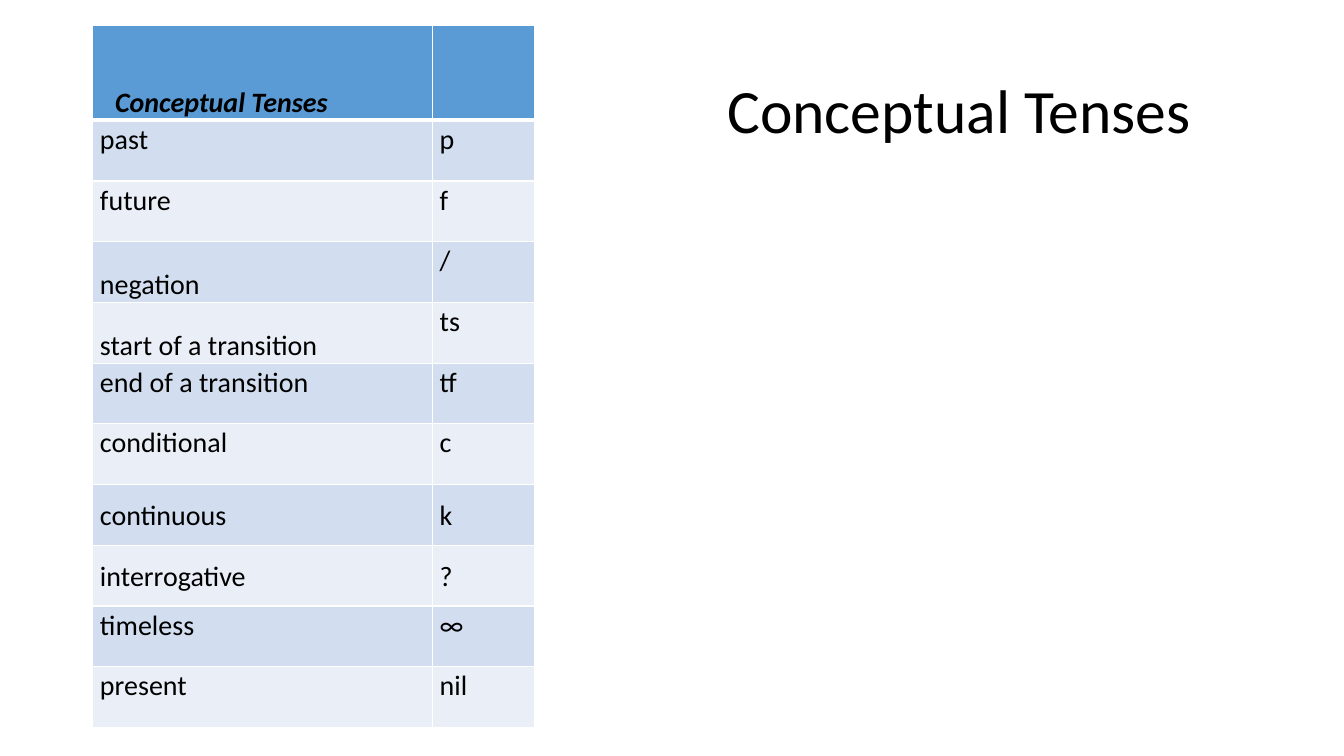
from lxml import etree
from pptx import Presentation
from pptx.dml.color import RGBColor
from pptx.enum.text import MSO_ANCHOR, PP_ALIGN
from pptx.oxml.ns import qn
from pptx.util import Cm, Pt

TOP, MIDDLE, BOTTOM = MSO_ANCHOR.TOP, MSO_ANCHOR.MIDDLE, MSO_ANCHOR.BOTTOM
LEFT, JUSTIFY = PP_ALIGN.LEFT, PP_ALIGN.JUSTIFY

COLORS = {
    "text": "000000",
    "header": "5B9BD5",
    "odd": "D2DEEF",
    "even": "EAEFF7",
    "border": "FFFFFF",
}

TENSES = [
    ("past", "p", TOP, TOP),
    ("future", "f", TOP, TOP),
    ("negation ", "/", BOTTOM, TOP),
    ("start of a transition", "ts", BOTTOM, TOP),
    ("end of a transition ", "tf", TOP, TOP),
    ("conditional", "c", TOP, TOP),
    ("continuous", "k", MIDDLE, MIDDLE),
    ("interrogative", "?", MIDDLE, MIDDLE),
    ("timeless", "∞", TOP, TOP),
    ("present", "nil", TOP, TOP),
]


class SlideBuilder:
    font = "Calibri"
    title_size = 44
    table_size = 20

    def __init__(self, slide):
        self.slide = slide

    def add_run(self, paragraph, text, size, emphasis=False):
        run = paragraph.add_run()
        run.text = text
        run.font.name = self.font
        run.font.size = Pt(size)
        run.font.bold = run.font.italic = emphasis
        run.font.color.rgb = RGBColor.from_string(COLORS["text"])

    def add_title(self, text, left, top, width, height):
        frame = self.slide.shapes.add_textbox(left, top, width, height).text_frame
        frame.word_wrap = True
        frame.vertical_anchor = MIDDLE
        paragraph = frame.paragraphs[0]
        paragraph.alignment = LEFT
        paragraph.line_spacing = 0.9
        self.add_run(paragraph, text, self.title_size)

    def add_table(self, left, top, column_widths, row_heights):
        table = self.slide.shapes.add_table(
            len(row_heights), len(column_widths), left, top,
            sum(column_widths), sum(row_heights)).table
        table.horz_banding = False
        for column, width in zip(table.columns, column_widths):
            column.width = width
        for row, height in zip(table.rows, row_heights):
            row.height = height
        return table

    def style_cell(self, cell, fill, anchor, top_line=1, bottom_line=1):
        cell.margin_left = cell.margin_right = Cm(0.18)
        cell.margin_top = cell.margin_bottom = 0
        cell.vertical_anchor = anchor
        properties = cell._tc.get_or_add_tcPr()
        widths = {"lnL": 1, "lnR": 1, "lnT": top_line, "lnB": bottom_line}
        for side, width in widths.items():
            line = etree.SubElement(properties, qn(f"a:{side}"), w=str(Pt(width)))
            solid = etree.SubElement(line, qn("a:solidFill"))
            etree.SubElement(solid, qn("a:srgbClr"), val=COLORS["border"])
        cell.fill.solid()
        cell.fill.fore_color.rgb = RGBColor.from_string(COLORS[fill])

    def add_header(self, table, text):
        for cell in table.rows[0].cells:
            self.style_cell(cell, "header", BOTTOM, bottom_line=3)
        paragraph = table.cell(0, 0).text_frame.paragraphs[0]
        paragraph.line_spacing = Pt(22.6)
        paragraph._p.get_or_add_pPr().set("marL", str(Cm(0.38)))
        self.add_run(paragraph, text, self.table_size, emphasis=True)

    def add_body_cell(self, cell, text, fill, anchor, top_line):
        self.style_cell(cell, fill, anchor, top_line)
        paragraph = cell.text_frame.paragraphs[0]
        paragraph.alignment = JUSTIFY
        paragraph.line_spacing = 1.07
        self.add_run(paragraph, text, self.table_size)


def main():
    presentation = Presentation()
    presentation.slide_width = Cm(33.87)
    presentation.slide_height = Cm(19.05)
    slide = presentation.slides.add_slide(presentation.slide_layouts[6])
    builder = SlideBuilder(slide)

    builder.add_title("Conceptual Tenses", Cm(18.08), Cm(1.02), Cm(13.44), Cm(3.68))

    row_heights = [Cm(2.39)] + [Cm(1.53)] * len(TENSES)
    table = builder.add_table(Cm(2.34), Cm(0.64), [Cm(8.56), Cm(2.57)], row_heights)
    builder.add_header(table, "Conceptual Tenses")
    for row, (tense, symbol, tense_anchor, symbol_anchor) in enumerate(TENSES, 1):
        fill = "odd" if row % 2 else "even"
        top_line = 3 if row == 1 else 1
        builder.add_body_cell(table.cell(row, 0), tense, fill, tense_anchor, top_line)
        builder.add_body_cell(table.cell(row, 1), symbol, fill, symbol_anchor, top_line)

    presentation.save("out.pptx")


if __name__ == "__main__":
    main()
